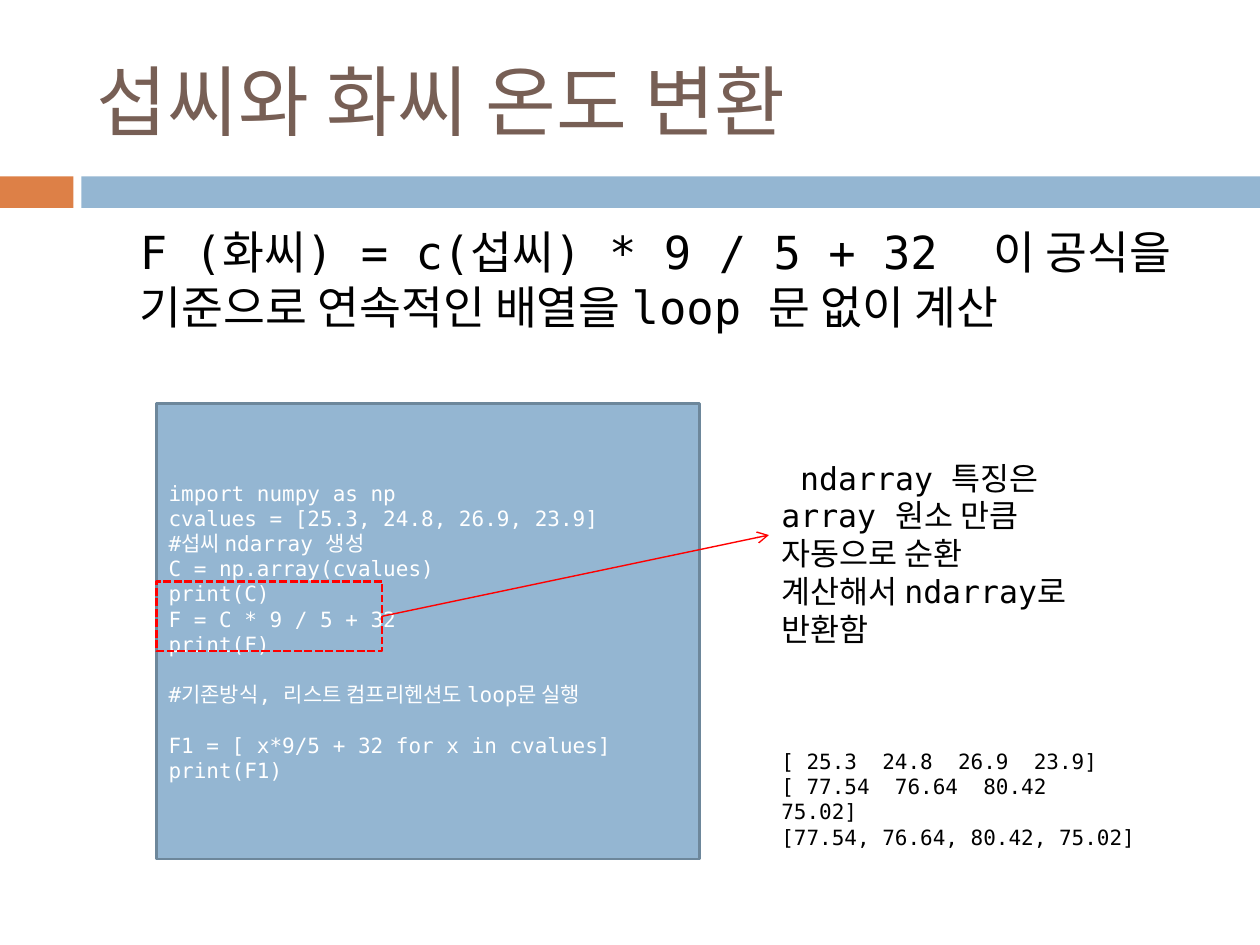
from lxml.etree import SubElement
from pptx import Presentation
from pptx.dml.color import RGBColor
from pptx.enum.dml import MSO_LINE
from pptx.enum.shapes import MSO_CONNECTOR, MSO_SHAPE
from pptx.enum.text import MSO_ANCHOR, MSO_AUTO_SIZE, PP_ALIGN
from pptx.oxml.ns import qn
from pptx.util import Pt

WHITE = RGBColor(0xFF, 0xFF, 0xFF)
BLACK = RGBColor(0, 0, 0)
BROWN = RGBColor(0x77, 0x5F, 0x55)
ORANGE = RGBColor(0xDD, 0x80, 0x47)
BLUE = RGBColor(0x94, 0xB6, 0xD2)
SLATE = RGBColor(0x6D, 0x87, 0x9B)
RED = RGBColor(0xFF, 0, 0)

CODE = [
    "import numpy as np",
    "cvalues = [25.3, 24.8, 26.9, 23.9]",
    "#섭씨 ndarray 생성",
    "C = np.array(cvalues)",
    "print(C)",
    "F = C * 9 / 5 + 32",
    "print(F)",
    "#기존방식, 리스트 컴프리헨션도 loop문 실행",
    "F1 = [ x*9/5 + 32 for x in cvalues]",
    "print(F1)",
]
GAPS = (7, 8)  # code lines that follow a one-line gap
OUTPUT = [
    "[ 25.3  24.8  26.9  23.9]",
    "[ 77.54  76.64  80.42  75.02]",
    "[77.54, 76.64, 80.42, 75.02]",
]


class Painter:
    font = "DejaVu Sans Mono"

    def __init__(self, slide):
        self.slide = slide
        self.shapes = slide.shapes

    def text(self, shape, lines, size, color, anchor=MSO_ANCHOR.TOP,
             gaps=(), indent=0):
        frame = shape.text_frame
        frame.text = "\n".join(lines)
        frame.word_wrap = True
        frame.auto_size = MSO_AUTO_SIZE.NONE
        frame.vertical_anchor = anchor
        for num, para in enumerate(frame.paragraphs):
            props = para._p.get_or_add_pPr()
            props.set("marL", "0")
            props.set("indent", str(Pt(indent)))
            SubElement(props, qn("a:buNone"))
            para.alignment = PP_ALIGN.LEFT
            para.space_before = Pt(14.4 if num in gaps else 0)
            para.font.name = self.font
            para.font.size = Pt(size)
            para.font.color.rgb = color

    def holder(self, idx, box, lines, size, color, anchor):
        shape = self.slide.placeholders[idx]
        shape.left, shape.top, shape.width, shape.height = map(Pt, box)
        self.text(shape, lines, size, color, anchor)
        return shape

    def rect(self, box, fill=None, line=None, dash=None):
        shape = self.shapes.add_shape(MSO_SHAPE.RECTANGLE, *map(Pt, box))
        shape.shadow.inherit = False
        if fill is None:
            shape.fill.background()
        else:
            shape.fill.solid()
            shape.fill.fore_color.rgb = fill
        if line is None:
            shape.line.fill.background()
        else:
            shape.line.color.rgb = line
            shape.line.width = Pt(1.5)
            shape.line.dash_style = dash
        return shape

    def label(self, box, lines, size, indent=0):
        shape = self.shapes.add_textbox(*map(Pt, box))
        self.text(shape, lines, size, BLACK, indent=indent)
        return shape

    def arrow(self, start, end, color):
        """Join the right side of start to the left side of end."""
        link = self.shapes.add_connector(MSO_CONNECTOR.STRAIGHT, 0, 0, 0, 0)
        link.begin_connect(start, 3)
        link.end_connect(end, 1)
        link.line.color.rgb = color
        link.line.width = Pt(0.79)
        props = link._element.spPr
        SubElement(props.find(qn("a:ln")), qn("a:tailEnd"), type="arrow")
        SubElement(props, qn("a:effectLst"))


def main():
    deck = Presentation()
    deck.slide_width, deck.slide_height = Pt(720), Pt(540)
    art = Painter(deck.slides.add_slide(deck.slide_layouts[1]))

    art.rect((0, 100.8, 42, 18), ORANGE)
    art.rect((46.5, 100.8, 673.5, 18), BLUE)
    art.holder(0, (48, 18, 642, 78), ["섭씨와 화씨 온도 변환"],
               44, BROWN, MSO_ANCHOR.MIDDLE)
    body = art.holder(
        1, (36.75, 124.5, 648, 106),
        ["F (화씨) = c(섭씨) * 9 / 5 + 32  이 공식을 기준으로 "
         "연속적인 배열을 loop 문 없이 계산"],
        26, BLACK, MSO_ANCHOR.TOP)
    body.text_frame.margin_left = Pt(43.2)

    code = art.rect((89.3, 230.4, 310.4, 260.6), BLUE, SLATE)
    art.text(code, CODE, 12, WHITE, MSO_ANCHOR.MIDDLE, GAPS)
    art.label((439.4, 424.2, 221, 51), OUTPUT, 12)
    focus = art.rect((89.3, 332.4, 129, 39.6), line=RED,
                     dash=MSO_LINE.SQUARE_DOT)
    note = art.label(
        (439.4, 258.5, 187, 94.5),
        ["ndarray 특징은 array 원소 만큼 자동으로 순환 "
         "계산해서 ndarray로 반환함"], 18, indent=10.8)
    art.arrow(focus, note, RED)

    deck.save("out.pptx")


if __name__ == "__main__":
    main()
